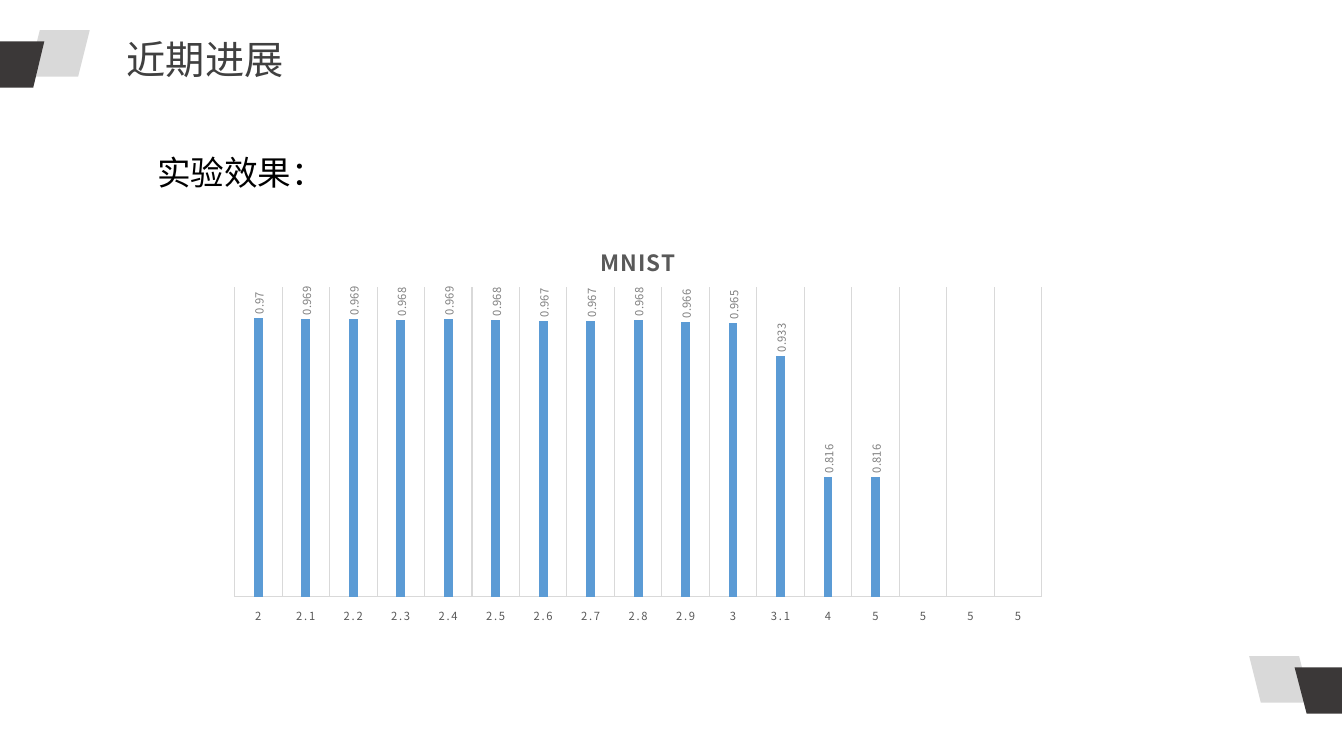
"""Build the MNIST experiment progress slide."""
from typing import NamedTuple

from lxml import etree
from pptx import Presentation
from pptx.chart.data import CategoryChartData
from pptx.dml.color import RGBColor
from pptx.enum.chart import XL_CHART_TYPE as CT, XL_LABEL_POSITION as LP
from pptx.enum.chart import XL_TICK_LABEL_POSITION as TLP, XL_TICK_MARK as TM
from pptx.enum.shapes import MSO_SHAPE
from pptx.enum.text import MSO_ANCHOR
from pptx.oxml import parse_xml
from pptx.oxml.ns import nsdecls, qn
from pptx.util import Inches, Pt

FONT = "Noto Sans CJK SC"
GREY, DARK = "D9D9D9", "3B3838"
CATS = ["2", "2.1", "2.2", "2.3", "2.4", "2.5", "2.6", "2.7", "2.8", "2.9",
        "3", "3.1", "4", "5", "5", "5", "5"]
VALUES = [0.97, 0.969, 0.969, 0.968, 0.969, 0.968, 0.967, 0.967, 0.968, 0.966,
          0.965, 0.933, 0.816, 0.816, None, None, None]


class Corner(NamedTuple):
    left: float
    top: float
    flip: bool
    points: list[tuple[float, float]]


class Label(NamedTuple):
    text: str
    box: tuple[float, float, float, float]
    size: int
    color: str
    wrap: bool


CORNERS = [
    Corner(0.28, 0.3, False, [(-0.03, 0.41), (0.44, 0.41), (0.33, 0.87), (-0.03, 0.87)]),
    Corner(12.39, 6.51, True, [(13.31, 6.62), (12.84, 6.62), (12.96, 7.08), (13.31, 7.08)]),
]
LABELS = [
    Label("近期进展", (1.16, 0.3, 5.93, 0.57), 28, "404040", True),
    Label("实验效果：", (1.46, 1.46, 1.88, 0.5), 24, "000000", False),
]


def rgb(value: str) -> RGBColor:
    return RGBColor.from_string(value)


def style_font(font, size: float, color: str, bold: bool = False) -> None:
    font.name, font.size, font.bold = FONT, Pt(size), bold
    font.color.rgb = rgb(color)
    r_pr = font._element if hasattr(font, "_element") else font._rPr
    ea = etree.SubElement(r_pr, qn("a:ea"))
    ea.set("typeface", FONT)


def paint(shape, color: str) -> None:
    shape.shadow.inherit = False
    shape.fill.solid()
    shape.fill.fore_color.rgb = rgb(color)
    shape.line.fill.background()


def add_corner(s, c: Corner) -> None:
    group = s.shapes.add_group_shape()
    back = group.shapes.add_shape(MSO_SHAPE.PARALLELOGRAM, Inches(c.left), Inches(c.top),
                                  Inches(0.61), Inches(0.46))
    if c.flip:
        back.element.spPr.get_or_add_xfrm().set("flipH", "1")
    paint(back, GREY)
    points = [(Inches(x), Inches(y)) for x, y in c.points]
    builder = group.shapes.build_freeform(*points[0])
    builder.add_line_segments(points[1:], close=True)
    paint(builder.convert_to_shape(), DARK)


def add_label(s, label: Label) -> None:
    tf = s.shapes.add_textbox(*map(Inches, label.box)).text_frame
    tf.word_wrap, tf.vertical_anchor = label.wrap, MSO_ANCHOR.MIDDLE
    r = tf.paragraphs[0].add_run()
    r.text = label.text
    style_font(r.font, label.size, label.color)


def set_layout(parent, index: int, inner: bool, **sizes: float) -> None:
    for old in parent.findall(qn("c:layout")):
        parent.remove(old)
    target = '<c:layoutTarget val="inner"/>' if inner else ""
    modes = "".join(f'<c:{k}Mode val="edge"/>' for k in ("x", "y"))
    values = "".join(f'<c:{k} val="{v}"/>' for k, v in sizes.items())
    parent.insert(index, parse_xml(f'<c:layout {nsdecls("c")}><c:manualLayout>'
                                   f'{target}{modes}{values}</c:manualLayout></c:layout>'))


def add_mnist_chart(s) -> None:
    data = CategoryChartData()
    data.categories = CATS
    data.add_series("Series 1", VALUES)
    chart = s.shapes.add_chart(CT.COLUMN_CLUSTERED, Inches(2.16), Inches(2.18),
                               Inches(8.34), Inches(4.03), data).chart
    chart.has_legend = False
    style_font(chart.font, 10, "000000")

    chart.has_title = True
    r = chart.chart_title.text_frame.paragraphs[0].add_run()
    r.text = "MNIST"
    style_font(r.font, 16, "595959", True)
    r.font._element.set("spc", "100")
    chart.chart_title.include_in_layout = False
    title = chart.chart_title._element
    set_layout(title, 1, False, x=0.45, y=0.05)
    plot_area = chart._chartSpace.chart.plotArea
    set_layout(plot_area, 0, True, x=0.02, y=0.166, w=0.96, h=0.763)

    axis = chart.category_axis
    axis.major_tick_mark = axis.minor_tick_mark = TM.NONE
    axis.tick_label_position = TLP.LOW
    axis.has_major_gridlines = True
    for line in (axis.format.line, axis.major_gridlines.format.line):
        line.color.rgb, line.width = rgb(GREY), Pt(0.75)
    style_font(axis.tick_labels.font, 8, "595959")
    axis.tick_labels.font._element.set("spc", "120")

    value_axis = chart.value_axis
    value_axis.minimum_scale, value_axis.maximum_scale = 0.7, 1
    value_axis.has_major_gridlines = False
    value_axis.visible = False

    plot = chart.plots[0]
    plot.gap_width, plot.overlap, plot.vary_by_categories = 444, -90, False
    series = plot.series[0]
    series.format.fill.solid()
    series.format.fill.fore_color.rgb = rgb("5B9BD5")
    labels = series.data_labels
    labels.show_value, labels.position = True, LP.OUTSIDE_END
    style_font(labels.font, 8, "808080")
    body = labels._element.find(qn("c:txPr")).find(qn("a:bodyPr"))
    body.set("rot", "-5400000")
    body.set("vert", "horz")


def main() -> None:
    prs = Presentation()
    prs.slide_width, prs.slide_height = Inches(13.33), Inches(7.5)
    s = prs.slides.add_slide(prs.slide_layouts[6])
    for corner in CORNERS:
        add_corner(s, corner)
    for label in LABELS:
        add_label(s, label)
    add_mnist_chart(s)
    prs.save("out.pptx")


if __name__ == "__main__":
    main()
